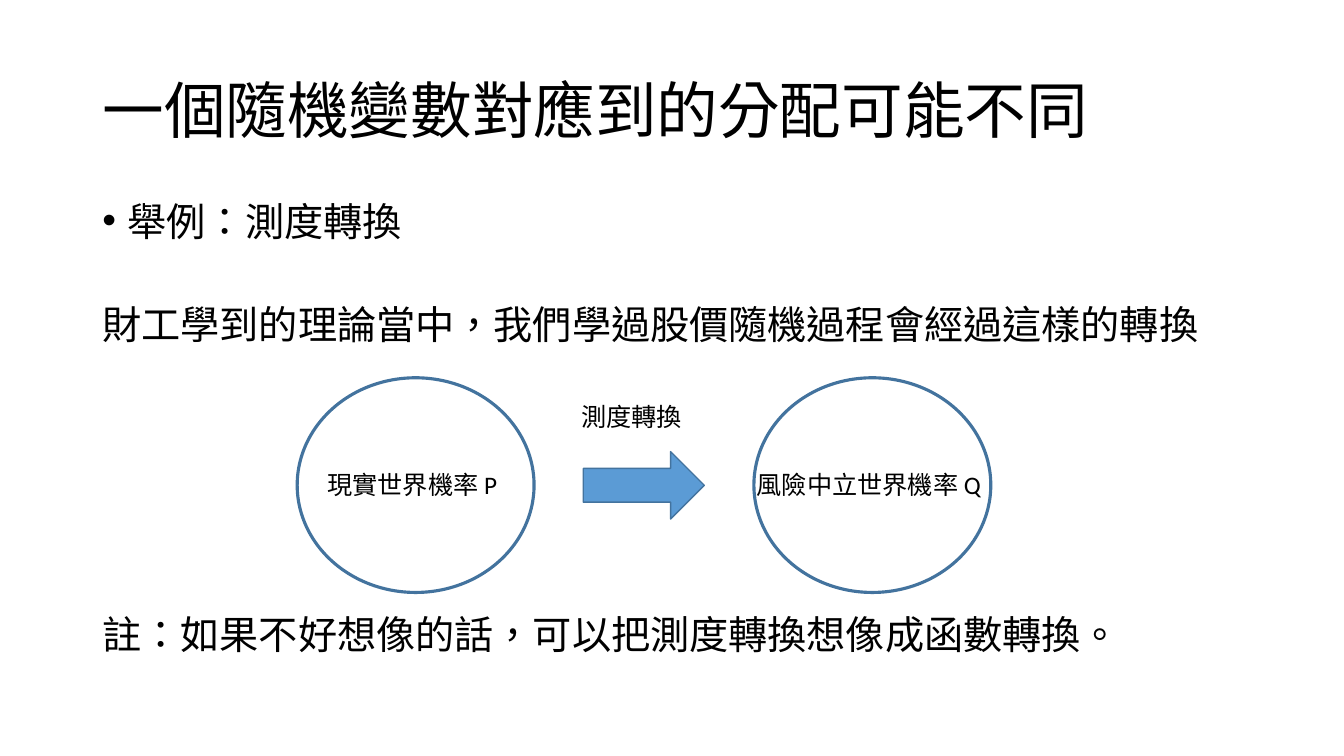
from dataclasses import dataclass

from lxml.etree import SubElement
from pptx import Presentation
from pptx.dml.color import RGBColor
from pptx.enum.lang import MSO_LANGUAGE_ID
from pptx.enum.shapes import MSO_SHAPE
from pptx.enum.text import MSO_ANCHOR, MSO_AUTO_SIZE, PP_ALIGN
from pptx.oxml.ns import qn
from pptx.util import Cm, Pt

BLACK = RGBColor(0x00, 0x00, 0x00)
BLUE = RGBColor(0x5B, 0x9B, 0xD5)
DARK_BLUE = RGBColor(0x43, 0x73, 0x9E)
FONT = "Calibri"
MARGIN, CONTENT_WIDTH = 2.33, 29.21


@dataclass(frozen=True)
class Box:
    left: float
    top: float
    width: float
    height: float

    def lengths(self) -> tuple[Cm, Cm, Cm, Cm]:
        return Cm(self.left), Cm(self.top), Cm(self.width), Cm(self.height)


@dataclass(frozen=True)
class Figure:
    kind: MSO_SHAPE
    box: Box
    line_width: float
    fill: RGBColor | None = None


@dataclass(frozen=True)
class Label:
    text: str
    box: Box


@dataclass(frozen=True)
class BodyLine:
    text: str
    space_before: float
    bullet: bool = False


def write_text(paragraph, text: str, *, size: float, line_spacing: float = 1.0,
               space_before: float = 0) -> None:
    paragraph.alignment = PP_ALIGN.LEFT
    paragraph.line_spacing = line_spacing
    paragraph.space_before = Pt(space_before)
    run = paragraph.add_run()
    run.text = text
    run.font.name = FONT
    run.font.size = Pt(size)
    run.font.color.rgb = BLACK
    run.font.language_id = MSO_LANGUAGE_ID.TRADITIONAL_CHINESE


def add_bullet(paragraph) -> None:
    properties = paragraph._p.get_or_add_pPr()
    properties.set("marL", str(Cm(0.64)))
    properties.set("indent", str(Cm(-0.64)))
    SubElement(properties, qn("a:buFont"), typeface="Arial")
    SubElement(properties, qn("a:buChar"), char="•")


def add_text_frame(slide, box: Box):
    text_frame = slide.shapes.add_textbox(*box.lengths()).text_frame
    text_frame.word_wrap = True
    return text_frame


def draw_title(slide, text: str, box: Box) -> None:
    title = slide.shapes.title
    title.left, title.top, title.width, title.height = box.lengths()
    title.text_frame.auto_size = MSO_AUTO_SIZE.NONE
    title.text_frame.vertical_anchor = MSO_ANCHOR.MIDDLE
    write_text(title.text_frame.paragraphs[0], text, size=44, line_spacing=0.9)


def draw_body(slide, lines: list[BodyLine], box: Box) -> None:
    text_frame = add_text_frame(slide, box)
    for index, line in enumerate(lines):
        paragraph = text_frame.add_paragraph() if index else text_frame.paragraphs[0]
        write_text(paragraph, line.text, size=28, line_spacing=0.8,
                   space_before=line.space_before)
        if line.bullet:
            add_bullet(paragraph)


def draw_figure(slide, figure: Figure) -> None:
    shape = slide.shapes.add_shape(figure.kind, *figure.box.lengths())
    shape.shadow.inherit = False
    shape.line.color.rgb = DARK_BLUE
    shape.line.width = Pt(figure.line_width)
    if figure.fill is None:
        shape.fill.background()
    else:
        shape.fill.solid()
        shape.fill.fore_color.rgb = figure.fill


def draw_label(slide, label: Label) -> None:
    text_frame = add_text_frame(slide, label.box)
    text_frame.auto_size = MSO_AUTO_SIZE.SHAPE_TO_FIT_TEXT
    write_text(text_frame.paragraphs[0], label.text, size=18)


BODY_LINES = [
    BodyLine("舉例：測度轉換", 10, bullet=True),
    BodyLine("財工學到的理論當中，我們學過股價隨機過程會經過這樣的轉換", 47),
    BodyLine("註：如果不好想像的話，可以把測度轉換想像成函數轉換。", 194.5),
]
FIGURES = [
    Figure(MSO_SHAPE.OVAL, Box(7.49, 9.52, 5.97, 5.41), 2.25),
    Figure(MSO_SHAPE.OVAL, Box(19, 9.52, 5.97, 5.41), 2.25),
    Figure(MSO_SHAPE.RIGHT_ARROW, Box(14.7, 11.38, 3.05, 1.7), 1, BLUE),
]
LABELS = [
    Label("現實世界機率 P", Box(8, 11.71, 5.46, 1.02)),
    Label("風險中立世界機率 Q", Box(18.82, 11.71, 6.5, 1.02)),
    Label("測度轉換", Box(14.4, 9.98, 3.2, 1.02)),
]

presentation = Presentation()
presentation.slide_width, presentation.slide_height = Cm(33.87), Cm(19.05)
slide = presentation.slides.add_slide(presentation.slide_layouts[5])
draw_title(slide, "一個隨機變數對應到的分配可能不同", Box(MARGIN, 1.01, CONTENT_WIDTH, 3.68))
draw_body(slide, BODY_LINES, Box(MARGIN, 5.07, CONTENT_WIDTH, 12.09))
for figure in FIGURES:
    draw_figure(slide, figure)
for label in LABELS:
    draw_label(slide, label)
presentation.save("out.pptx")
